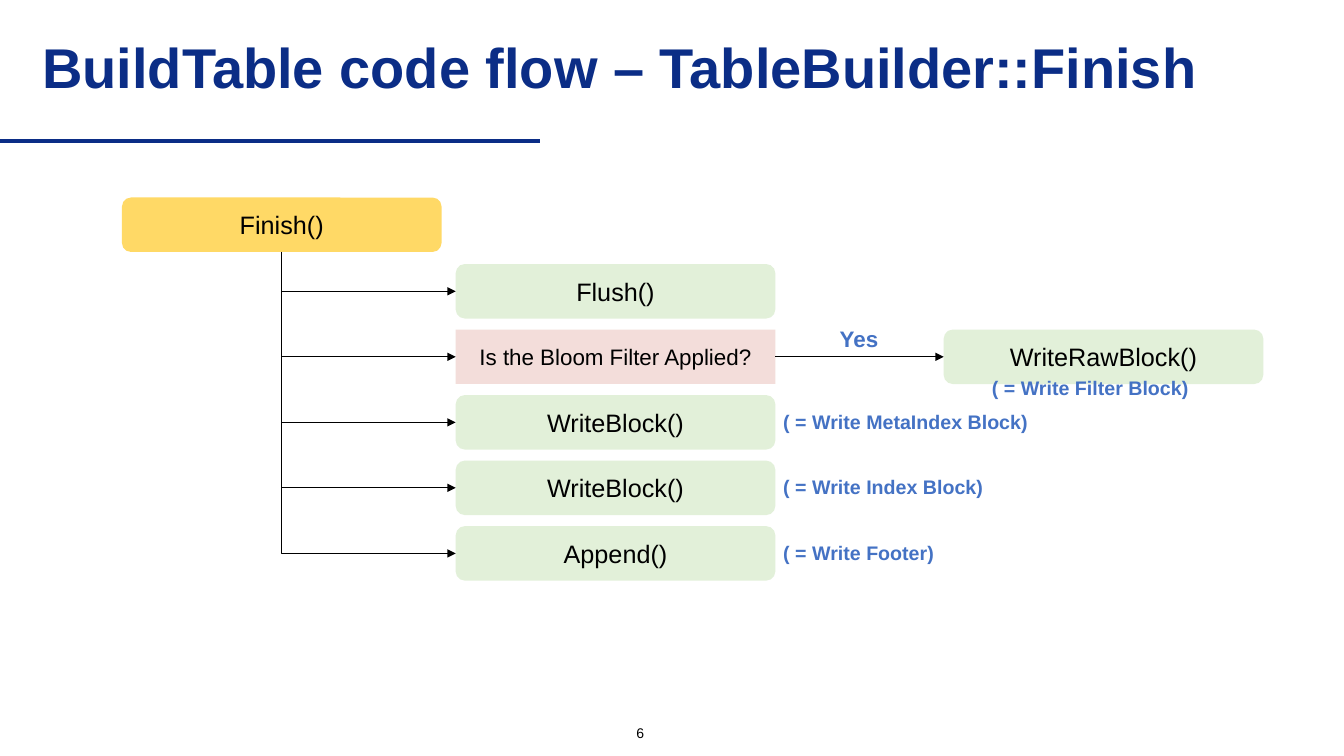
from lxml import etree
from pptx import Presentation
from pptx.dml.color import RGBColor
from pptx.enum.shapes import MSO_CONNECTOR as Connector, MSO_SHAPE as Shape
from pptx.enum.text import MSO_ANCHOR as Anchor, MSO_AUTO_SIZE as AutoSize, PP_ALIGN as Align
from pptx.oxml.ns import qn
from pptx.util import Pt

PX = 9144  # 100 px to the inch
NAVY = RGBColor(0x0B, 0x2D, 0x86)
BLUE = RGBColor(0x44, 0x72, 0xC4)
BLACK = RGBColor(0, 0, 0)
YELLOW = RGBColor(0xFF, 0xD9, 0x66)
GREEN = RGBColor(0xE2, 0xF0, 0xD9)
PINK = RGBColor(0xF3, 0xDD, 0xDA)

BOX_WIDTH, BOX_HEIGHT = 317, 54
STEP_LEFT, STEP_TOP, STEP_PITCH = 452, 262, 65


def write(shape, text, size, color, bold=False, align=Align.CENTER):
    frame = shape.text_frame
    frame.text = text
    frame.vertical_anchor = Anchor.MIDDLE
    paragraph = frame.paragraphs[0]
    paragraph.alignment = align
    font = paragraph.runs[0].font
    font.name, font.size, font.bold = "Arial", Pt(size), bold
    font.color.rgb = color


def style_line(connector, color, width, arrow=False):
    connector.line.color.rgb = color
    connector.line.width = Pt(width)
    if arrow:
        line = connector.line._get_or_add_ln()
        etree.SubElement(line, qn("a:tailEnd"), type="triangle")
    etree.SubElement(connector._element.spPr, qn("a:effectLst"))


presentation = Presentation()
presentation.slide_width = 1333 * PX
presentation.slide_height = 750 * PX
slide = presentation.slides.add_slide(presentation.slide_layouts[5])
shapes = slide.shapes

# Title and rule
title = shapes.title
title.left, title.top, title.width, title.height = [n * PX for n in (32, 24, 1208, 91)]
write(title, "BuildTable code flow – TableBuilder::Finish", 40, NAVY, True, Align.LEFT)
title.text_frame.auto_size = AutoSize.NONE
title.text_frame.paragraphs[0].line_spacing = 0.9
rule = shapes.add_connector(Connector.STRAIGHT, 0, 140 * PX, 536 * PX, 140 * PX)
style_line(rule, NAVY, 3)

# Boxes: the caller, its five steps, and the filter branch
steps = [
    ("Flush()", Shape.ROUNDED_RECTANGLE, GREEN, 18),
    ("Is the Bloom Filter Applied?", Shape.RECTANGLE, PINK, 16),
    ("WriteBlock()", Shape.ROUNDED_RECTANGLE, GREEN, 18),
    ("WriteBlock()", Shape.ROUNDED_RECTANGLE, GREEN, 18),
    ("Append()", Shape.ROUNDED_RECTANGLE, GREEN, 18),
]
boxes = [(121, 196, "Finish()", Shape.ROUNDED_RECTANGLE, YELLOW, 18)]
boxes += [(STEP_LEFT, STEP_TOP + i * STEP_PITCH, *step) for i, step in enumerate(steps)]
boxes.append((936, STEP_TOP + STEP_PITCH, "WriteRawBlock()", Shape.ROUNDED_RECTANGLE, GREEN, 18))

drawn = []
for left, top, text, kind, fill, size in boxes:
    box = shapes.add_shape(kind, left * PX, top * PX, BOX_WIDTH * PX, BOX_HEIGHT * PX)
    box.shadow.inherit = False
    box.fill.solid()
    box.fill.fore_color.rgb = fill
    box.line.fill.background()
    write(box, text, size, BLACK)
    drawn.append(box)
finish, *step_boxes, raw_block = drawn

# Bent arrows from the caller down and across to each step
for box in step_boxes:
    arrow = shapes.add_connector(Connector.ELBOW, 0, 0, 0, 0)
    arrow.begin_connect(finish, 2)
    arrow.end_connect(box, 1)
    run, drop = arrow.width, arrow.height
    arrow.left += (run - drop) // 2
    arrow.top += (drop - run) // 2
    arrow.width, arrow.height = drop, run
    properties = arrow._element.spPr
    frame = properties.find(qn("a:xfrm"))
    frame.set("rot", "16200000")
    frame.set("flipH", "1")
    properties.find(qn("a:prstGeom")).set("prst", "bentConnector2")
    style_line(arrow, BLACK, 0.5, arrow=True)

# Straight arrow to the filter branch
branch = shapes.add_connector(Connector.STRAIGHT, 0, 0, 0, 0)
branch.begin_connect(step_boxes[1], 3)
branch.end_connect(raw_block, 1)
style_line(branch, BLACK, 0.5, arrow=True)

# Notes and page number
labels = [
    (823, 317, 59, 37, "Yes", 16, BLUE, True, Align.LEFT),
    (974, 368, 216, 34, "( = Write Filter Block)", 14, BLUE, True, Align.LEFT),
    (485, 711, 300, 32, "6", 10, BLACK, False, Align.CENTER),
]
step_notes = ["( = Write MetaIndex Block)", "( = Write Index Block)", "( = Write Footer)"]
for i, note in enumerate(step_notes, start=2):
    top = STEP_TOP + i * STEP_PITCH + 9
    labels.append((767, top, 264, 34, note, 14, BLUE, True, Align.LEFT))

for left, top, width, height, text, size, color, bold, align in labels:
    label = shapes.add_textbox(left * PX, top * PX, width * PX, height * PX)
    write(label, text, size, color, bold, align)
    label.text_frame.word_wrap = align == Align.CENTER

presentation.save("out.pptx")
